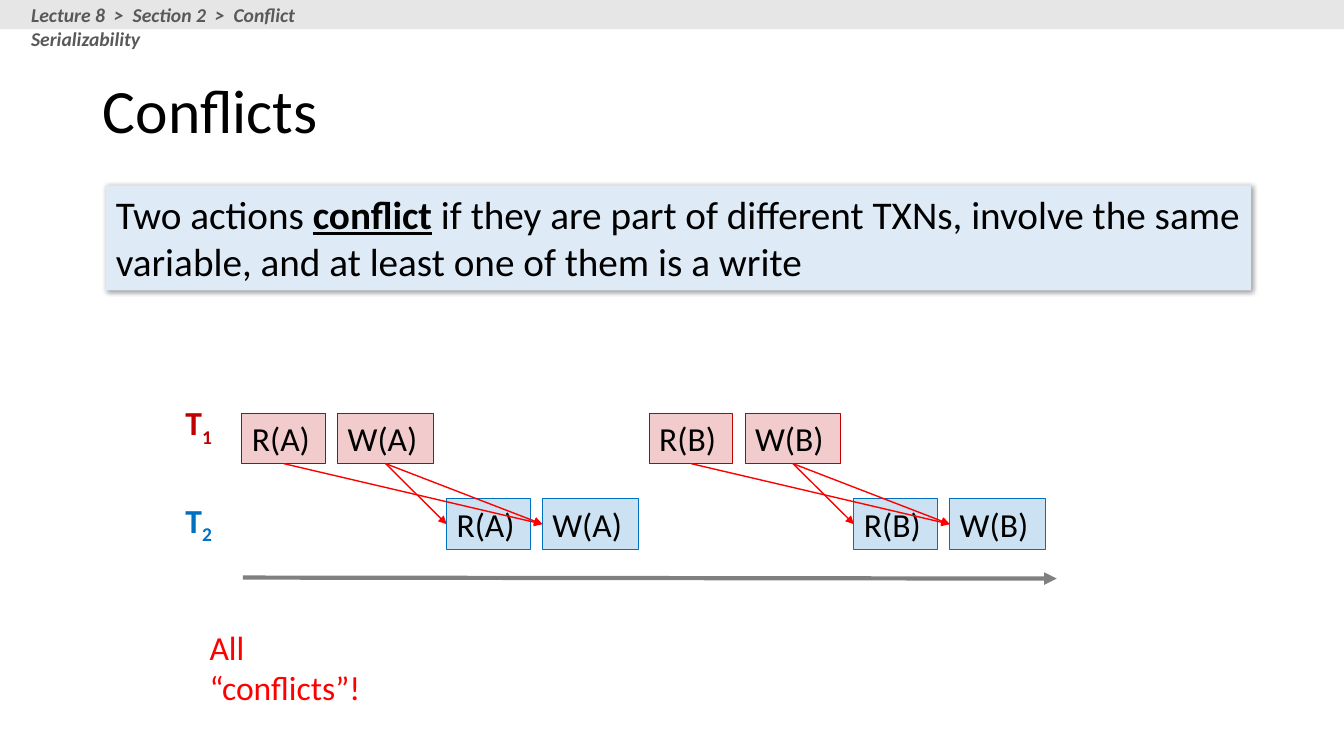
import pptx
import pptx.util
import pptx.dml.color
import pptx.enum.shapes
import pptx.enum.text
import pptx.oxml
import pptx.oxml.ns
import lxml.etree

Inches, Pt = pptx.util.Inches, pptx.util.Pt
kinds = pptx.enum.shapes
qn = pptx.oxml.ns.qn


def paint(color, text):
    color.rgb = pptx.dml.color.RGBColor.from_string(text)


def write(shape, parts, size, color, wrap=True):
    """Fill a shape with left-aligned runs and return them."""
    frame = shape.text_frame
    frame.word_wrap = wrap
    frame.auto_size = pptx.enum.text.MSO_AUTO_SIZE.NONE
    frame.vertical_anchor = pptx.enum.text.MSO_ANCHOR.TOP
    para = frame.paragraphs[0]
    para.alignment = pptx.enum.text.PP_ALIGN.LEFT
    para.font.size, para.font.name = Pt(size), "Calibri"
    paint(para.font.color, color)
    runs = []
    for part in parts:
        run = para.add_run()
        run.text = part
        runs.append(run)
    return runs


deck = pptx.Presentation()
deck.slide_width, deck.slide_height = Inches(13.33), Inches(7.5)
slide = deck.slides.add_slide(deck.slide_layouts[5])
shapes = slide.shapes

# Title
title = shapes.title
title.left, title.top = Inches(0.92), Inches(0.4)
title.width, title.height = Inches(11.5), Inches(1.45)
write(title, ["Conflicts"], 44, "000000")
title.text_frame.vertical_anchor = pptx.enum.text.MSO_ANCHOR.MIDDLE
title.text_frame.paragraphs[0].line_spacing = 0.9

# Definition with a soft shadow
rule = shapes.add_shape(kinds.MSO_SHAPE.RECTANGLE, Inches(1.05), Inches(1.84),
                        Inches(11.36), Inches(1.04))
rule.fill.solid()
paint(rule.fill.fore_color, "DEEBF7")
rule.line.fill.background()
rule.shadow.inherit = False
glow = lxml.etree.SubElement(
    rule.element.spPr.find(qn("a:effectLst")), qn("a:outerShdw"),
    blurRad=str(Pt(4)), dist=str(Pt(1)), dir="2700000", algn="tl")
shade = lxml.etree.SubElement(glow, qn("a:srgbClr"), val="000000")
lxml.etree.SubElement(shade, qn("a:alpha"), val="40000")
runs = write(rule, ["Two actions ", "conflict",
                    " if they are part of different TXNs, involve the same "
                    "variable, and at least one of them is a write"], 28, "000000")
runs[1].font.bold = runs[1].font.underline = True

# Schedule: one row of actions per transaction
boxes = {}
rows = [("1", "C00000", 3.94, 2.4, 4.1), ("2", "0070C0", 4.91, 4.43, 4.95)]
for num, color, high, left, top in rows:
    label = shapes.add_textbox(Inches(1.74), Inches(high), Inches(0.48), Inches(0.5))
    runs = write(label, ["T", num], 24, color, False)
    label.text_frame.paragraphs[0].font.bold = True
    runs[1].font._element.set("baseline", "-25000")
    for col, name in enumerate("AB"):
        for act, shift, width in [("R", 0, 0.83), ("W", 0.95, 0.95)]:
            box = shapes.add_shape(
                kinds.MSO_SHAPE.RECTANGLE, Inches(left + col * 4.04 + shift),
                Inches(top), Inches(width), Inches(0.5))
            box.shadow.inherit = False
            box.fill.solid()
            paint(box.fill.fore_color, color)
            tint = box.element.spPr.find(qn("a:solidFill"))[0]
            lxml.etree.SubElement(tint, qn("a:alpha"), val="20000")
            paint(box.line.color, color)
            box.line.width = Pt(0.75)
            write(box, [f"{act}({name})"], 24, "000000")
            boxes[num, act, name] = box

# Remark
note = shapes.add_textbox(Inches(1.98), Inches(6.17), Inches(2.11), Inches(0.5))
write(note, ["All “conflicts”!"], 24, "FF0000")
note.text_frame.margin_right = Inches(0.3)

# Time axis and conflict arrows
axis = shapes.add_connector(kinds.MSO_CONNECTOR.STRAIGHT, Inches(2.41),
                            Inches(5.73), Inches(10.48), Inches(5.74))
arrows = [(axis, "808080", 3)]
for name in "AB":
    for start, end in ["WR", "RW", "WW"]:
        link = shapes.add_connector(kinds.MSO_CONNECTOR.STRAIGHT, 0, 0, 0, 0)
        link.begin_connect(boxes["1", start, name], 2)
        link.end_connect(boxes["2", end, name], 1)
        arrows.append((link, "FF0000", 1))
for arrow, color, width in arrows:
    paint(arrow.line.color, color)
    arrow.line.width = Pt(width)
    lxml.etree.SubElement(arrow.line._get_or_add_ln(), qn("a:tailEnd"), type="triangle")
    lxml.etree.SubElement(arrow._element.spPr, qn("a:effectLst"))

# Header band
band = shapes.add_shape(kinds.MSO_SHAPE.RECTANGLE, 0, 0, deck.slide_width, Inches(0.29))
band.shadow.inherit = False
band.fill.solid()
paint(band.fill.fore_color, "E7E6E6")
band.line.fill.background()
crumb = shapes.add_textbox(Inches(0.21), Inches(-0.02), Inches(3.86), Inches(0.34))
write(crumb, ["Lecture 8  >  Section 2  >  Conflict Serializability"], 14, "595959")
crumb.text_frame.margin_right = Inches(0.3)
font = crumb.text_frame.paragraphs[0].font
font.bold = font.italic = True

deck.save("out.pptx")
